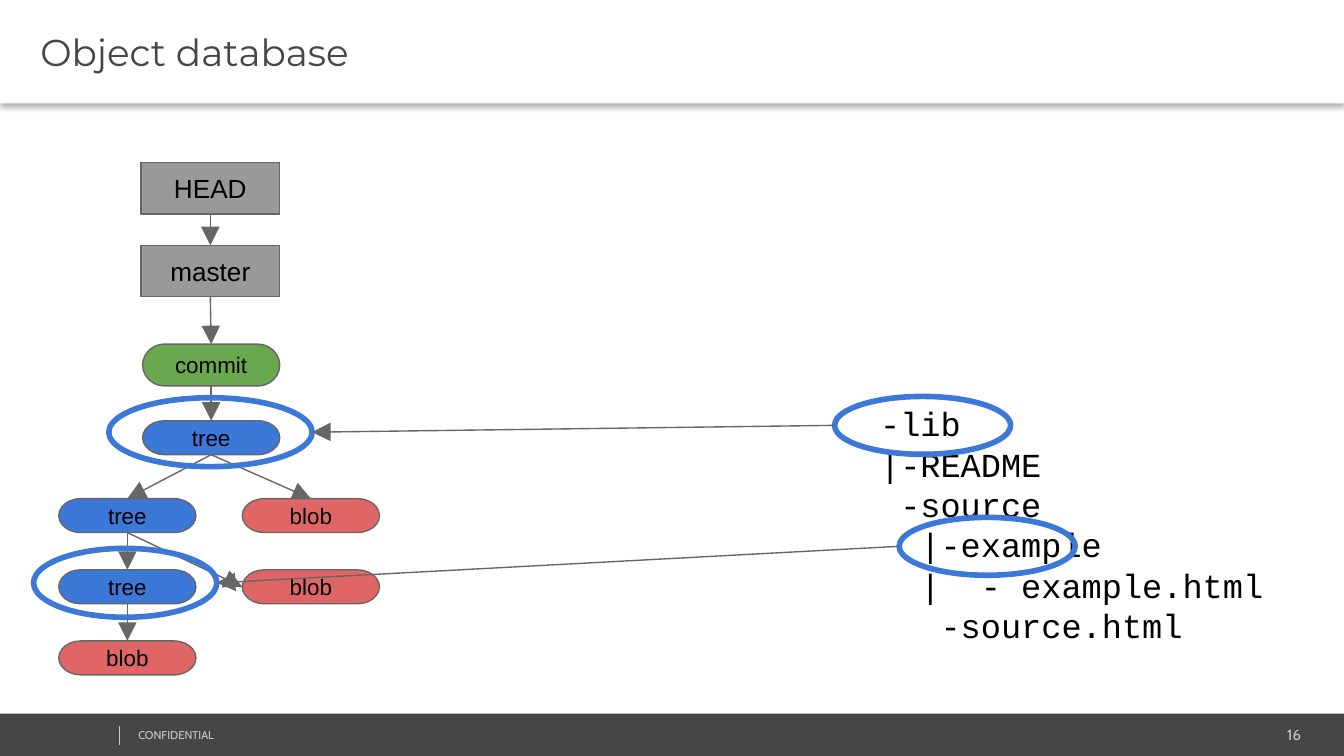
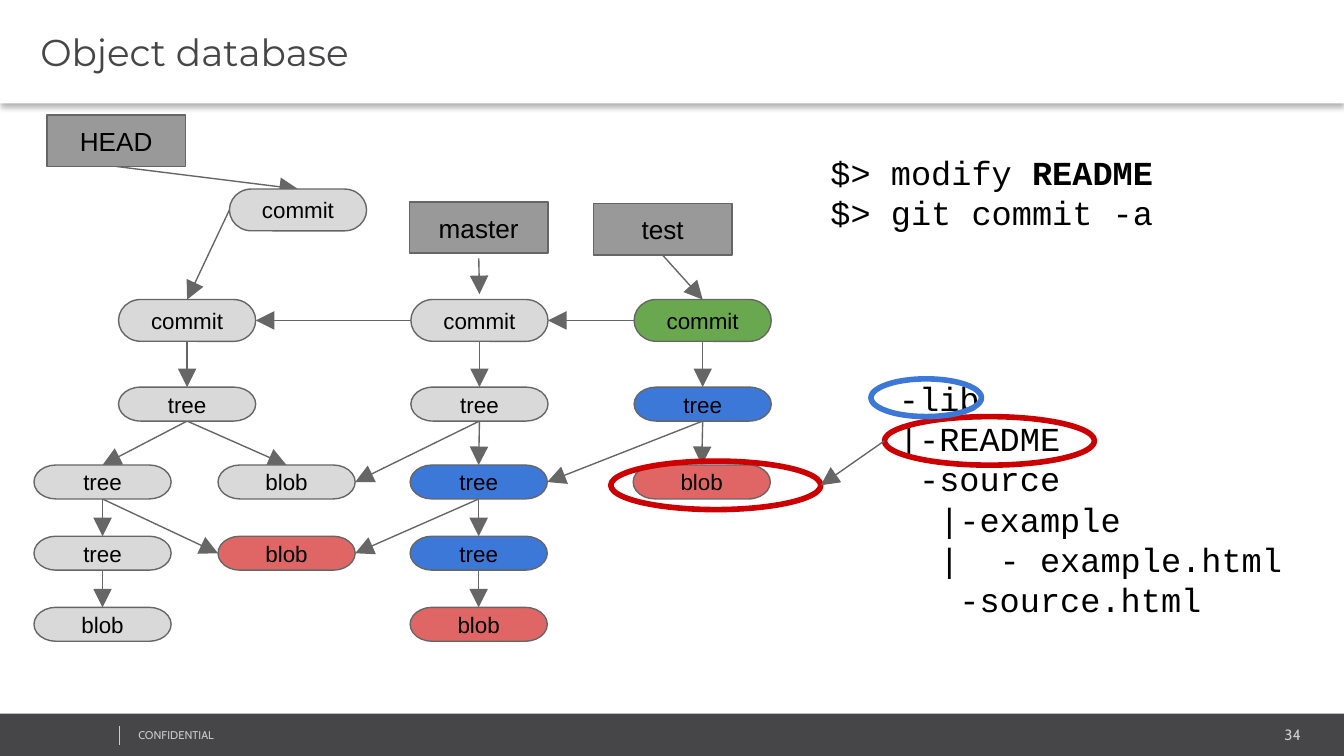
"""Build two slides that show how a git object database grows."""
from dataclasses import dataclass

from lxml.etree import SubElement
from pptx import Presentation
from pptx.dml.color import RGBColor
from pptx.enum.shapes import MSO_CONNECTOR as Connector
from pptx.enum.shapes import MSO_SHAPE as Shape
from pptx.enum.text import MSO_ANCHOR as Anchor
from pptx.enum.text import PP_ALIGN as Align
from pptx.oxml.ns import qn
from pptx.util import Pt


@dataclass(frozen=True)
class Theme:
    dark: str = "464547"
    white: str = "FFFFFF"
    black: str = "000000"
    pale: str = "CCCCCC"
    outline: str = "666666"
    label: str = "999999"
    old: str = "D9D9D9"
    green: str = "6AA84F"
    blue: str = "3C78D8"
    coral: str = "E06666"
    red: str = "CC0000"
    body_font: str = "Arial"
    title_font: str = "Montserrat"
    footer_font: str = "Cabin"
    code_font: str = "Courier New"
    title_size: float = 20
    code_size: float = 18
    label_size: float = 14
    node_size: float = 12
    number_size: float = 8
    footer_size: float = 6


theme = Theme()


def put_box(page, frame, text="", shape=None, fill=None, line=None, weight=0.75,
            font=theme.body_font, size=theme.node_size, color=theme.black,
            align=Align.LEFT, anchor=Anchor.TOP, insets=(7.2, 7.2, 7.2, 7.2)):
    frame = [Pt(length) for length in frame]
    if shape is None:
        box = page.shapes.add_textbox(*frame)
    else:
        box = page.shapes.add_shape(shape, *frame)
        box.shadow.inherit = False
        if fill:
            box.fill.solid()
            box.fill.fore_color.rgb = RGBColor.from_string(fill)
        else:
            box.fill.background()
        if line:
            box.line.color.rgb = RGBColor.from_string(line)
            box.line.width = Pt(weight)
        else:
            box.line.fill.background()
    if not text:
        return box
    body = box.text_frame
    body.word_wrap = True
    body.vertical_anchor = anchor
    body.margin_left, body.margin_top, body.margin_right, body.margin_bottom = map(Pt, insets)
    for index, words in enumerate(text.split("\n")):
        para = body.add_paragraph() if index else body.paragraphs[0]
        para.alignment = align
        for part, piece in enumerate(words.split("**")):
            if piece:
                span = para.add_run()
                span.text = piece
                span.font.name = font
                span.font.size = Pt(size)
                span.font.bold = part % 2 == 1
                span.font.color.rgb = RGBColor.from_string(color)
    return box


def put_line(page, start, end, color=theme.outline, weight=0.75, arrow=True):
    ends = [Pt(length) for length in (*start, *end)]
    line = page.shapes.add_connector(Connector.STRAIGHT, *ends)
    line.line.color.rgb = RGBColor.from_string(color)
    line.line.width = Pt(weight)
    outline = line._element.spPr
    if arrow:
        SubElement(outline.find(qn("a:ln")), qn("a:tailEnd"), type="triangle", w="lg", len="lg")
    SubElement(outline, qn("a:effectLst"))


sides = {
    "top": (0.5, 0), "bottom": (0.5, 1), "left": (0, 0.5), "right": (1, 0.5),
    "above": (0.5, -0.13), "below": (0.5, 1.1),
}
node_sizes = {"commit": (73.5, 22.4), "tree": (73.5, 18.2), "blob": (73.5, 18.2)}
label_box = (74.2, 27.5)
row_steps = (0, 41.75, 79.9, 118)
first_rows = [225.4 + step for step in row_steps]
later_rows = [207.4 + step for step in row_steps]
file_tree = """-lib
|-README
 -source
  |-example
  |  - example.html
   -source.html"""

pages = [
    {
        "number": "16",
        "nodes": {
            "head": ("HEAD", 75.6, 87.1, theme.label),
            "master": ("master", 75.6, 131.4, theme.label),
            "commit": ("commit", 76.4, 184.4, theme.green),
            "root": ("tree", 76.4, first_rows[0], theme.blue),
            "source": ("tree", 31.5, first_rows[1], theme.blue),
            "example": ("tree", 31.5, first_rows[2], theme.blue),
            "example html": ("blob", 31.5, first_rows[3], theme.coral),
            "readme": ("blob", 129.8, first_rows[1], theme.coral),
            "source html": ("blob", 129.8, first_rows[2], theme.coral),
        },
        "links": [
            ("head", "master"), ("master", "commit"), ("commit", "root"),
            ("root", "source"), ("root", "readme"), ("source", "example"),
            ("example", "example html"), ("source", "source html", "bottom", "left"),
        ],
        "code": [((464.4, 208.8, 222.5, 173.5), file_tree)],
        "rings": {
            "root ring": ((58.3, 213.1, 108.9, 36.9), theme.blue),
            "lib ring": ((447.1, 212.4, 94.3, 31), theme.blue),
            "example ring": ((18, 293.8, 98.2, 36.9), theme.blue),
            "folder ring": ((481.7, 277.2, 94.3, 31), theme.blue),
        },
        "callouts": [
            ("lib ring", "root ring", "left", "right"),
            ("folder ring", "example ring", "left", "right"),
        ],
    },
    {
        "number": "34",
        "nodes": {
            "head": ("HEAD", 25.2, 61.7, theme.label),
            "master": ("master", 219.4, 108.2, theme.label),
            "test": ("test", 317.9, 109.2, theme.label),
            "new commit": ("commit", 122.9, 101.3, theme.old),
            "first commit": ("commit", 63.5, 160.5, theme.old),
            "second commit": ("commit", 220.1, 160.5, theme.old),
            "third commit": ("commit", 339.7, 160.5, theme.green),
            "first root": ("tree", 63.5, later_rows[0], theme.old),
            "second root": ("tree", 220.1, later_rows[0], theme.old),
            "third root": ("tree", 339.7, later_rows[0], theme.blue),
            "source": ("tree", 18.2, later_rows[1], theme.old),
            "example": ("tree", 18.2, later_rows[2], theme.old),
            "example html": ("blob", 18.2, later_rows[3], theme.old),
            "readme": ("blob", 116.8, later_rows[1], theme.old),
            "source html": ("blob", 116.8, later_rows[2], theme.coral),
            "new source": ("tree", 219.7, later_rows[1], theme.blue),
            "new example": ("tree", 219.7, later_rows[2], theme.blue),
            "new example html": ("blob", 219.7, later_rows[3], theme.coral),
            "new readme": ("blob", 339.2, later_rows[1], theme.coral),
        },
        "links": [
            ("head", "new commit"), ("test", "third commit"),
            ("master", "second commit", "below", "above"),
            ("new commit", "first commit", "left", "top"),
            ("second commit", "first commit", "left", "right"),
            ("third commit", "second commit", "left", "right"),
            ("first commit", "first root"), ("second commit", "second root"),
            ("third commit", "third root"),
            ("first root", "source"), ("first root", "readme"),
            ("source", "example"), ("example", "example html"),
            ("source", "source html", "bottom", "left"),
            ("second root", "readme", "bottom", "right"),
            ("second root", "new source"), ("new source", "new example"),
            ("new source", "source html", "bottom", "right"),
            ("new example", "new example html"),
            ("third root", "new readme"),
            ("third root", "new source", "bottom", "right"),
        ],
        "code": [
            ((474.5, 195.1, 222.5, 173.5), file_tree),
            ((437.8, 74.2, 282, 84.2), "$> modify **README**\n$> git commit -a"),
        ],
        "rings": {
            "text ring": ((473.8, 223.2, 112.5, 26), theme.red),
            "lib ring": ((466.6, 203, 59.2, 20.2), theme.blue),
            "blob ring": ((327.2, 247, 112.5, 26), theme.red),
        },
        "callouts": [("text ring", "blob ring", "left", "right")],
    },
]

deck = Presentation()
deck.slide_width, deck.slide_height = Pt(720), Pt(405)

for content in pages:
    page = deck.slides.add_slide(deck.slide_layouts[6])

    put_box(page, (0, 382.3, 720, 22.7), shape=Shape.RECTANGLE, fill=theme.dark)
    footer = {"font": theme.footer_font, "color": theme.pale, "insets": (5, 2.9, 5, 2.9)}
    put_box(page, (584.6, 386, 117.4, 15.1), content["number"],
            size=theme.number_size, align=Align.RIGHT, **footer)
    put_box(page, (69.1, 387.4, 182.2, 13), "CONFIDENTIAL", size=theme.footer_size, **footer)
    put_line(page, (64.1, 388.8), (64.1, 398.9), theme.pale, 0.25, arrow=False)

    title = put_box(page, (0, 0, 720, 55.4), "Object database", Shape.RECTANGLE,
                    fill=theme.white, font=theme.title_font, size=theme.title_size,
                    color=theme.dark, anchor=Anchor.MIDDLE, insets=(21.6, 2.9, 5, 2.9))
    effects = title._element.spPr.find(qn("a:effectLst"))
    shadow = SubElement(effects, qn("a:outerShdw"), blurRad=str(Pt(3.1)), dist=str(Pt(2)),
                        dir="5400000", algn="t", rotWithShape="0")
    shade = SubElement(shadow, qn("a:srgbClr"), val=theme.black)
    SubElement(shade, qn("a:alpha"), val="30000")

    frames = {name: (left, top, *node_sizes.get(text, label_box))
              for name, (text, left, top, fill) in content["nodes"].items()}
    frames.update({name: frame for name, (frame, color) in content["rings"].items()})

    for group in ("links", "callouts"):
        if group == "callouts":
            for name, (text, left, top, fill) in content["nodes"].items():
                is_node = text in node_sizes
                put_box(page, frames[name], text,
                        Shape.FLOWCHART_TERMINATOR if is_node else Shape.RECTANGLE,
                        fill=fill, line=theme.outline, align=Align.CENTER, anchor=Anchor.MIDDLE,
                        size=theme.node_size if is_node else theme.label_size)
            for frame, text in content["code"]:
                put_box(page, frame, text, font=theme.code_font, size=theme.code_size)
            for frame, color in content["rings"].values():
                put_box(page, frame, shape=Shape.OVAL, line=color, weight=3)
        for start, end, *chosen in content[group]:
            points = []
            for name, side in zip((start, end), chosen or ("bottom", "top")):
                left, top, width, height = frames[name]
                across, down = sides[side]
                points.append((left + width * across, top + height * down))
            put_line(page, *points)

deck.save("out.pptx")
